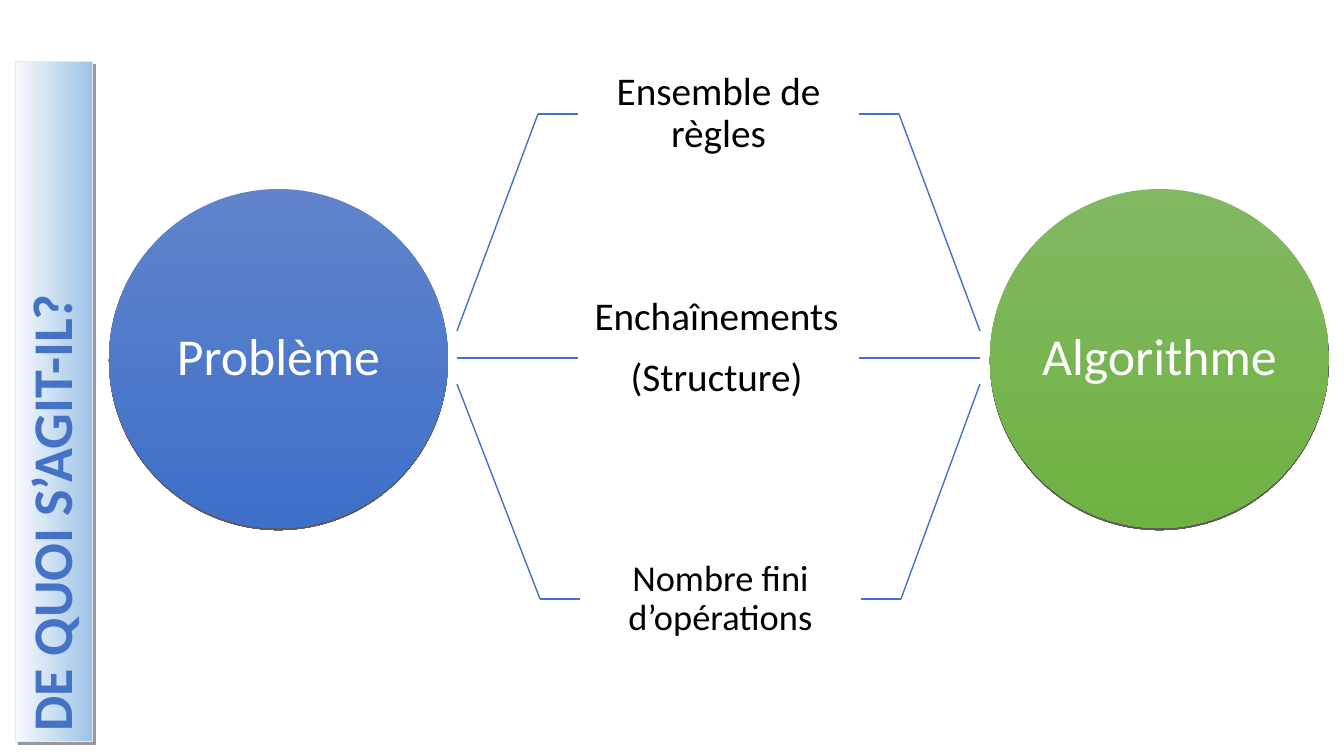
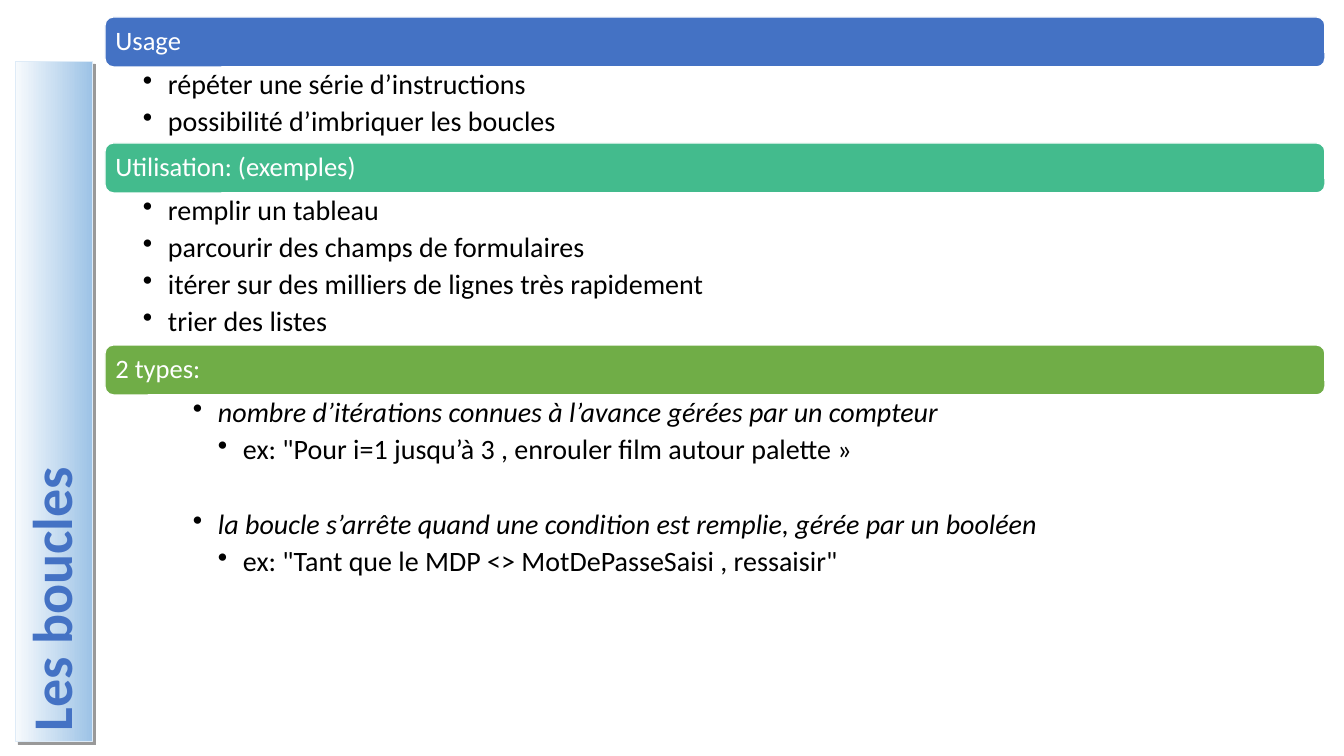
"""Build two French teaching slides on algorithms and loops."""
from dataclasses import dataclass

from lxml import etree
from pptx import Presentation
from pptx.dml.color import RGBColor
from pptx.enum import shapes, text
from pptx.oxml import ns
from pptx.util import Emu, Pt

FONT = "Calibri"
BLACK = RGBColor(0x00, 0x00, 0x00)
WHITE = RGBColor(0xFF, 0xFF, 0xFF)
BLUE = RGBColor(0x44, 0x72, 0xC4)
TEAL = RGBColor(0x43, 0xBB, 0x8D)
GREEN = RGBColor(0x70, 0xAD, 0x47)
BAND_EDGE = RGBColor(0xDE, 0xEB, 0xF7)
BAND_FADE = (RGBColor(0xF7, 0xFA, 0xFD), RGBColor(0x9D, 0xC3, 0xE6))
BLUE_FADE = (RGBColor(0x60, 0x83, 0xCB), RGBColor(0x3E, 0x70, 0xCA))
GREEN_FADE = (RGBColor(0x81, 0xB8, 0x61), RGBColor(0x6F, 0xB2, 0x42))

PX_PER_INCH = 100.8
MIRROR = 1437
HUB_X, ELBOW_X, LABEL_X = 457, 538, 578
HUB_TOP, HUB_SIZE = 189, 339
BAR_LEFT, BAR_TOP, BAR_WIDTH, BAR_HEIGHT = 105, 17, 1220, 50
INDENT = 25


@dataclass(frozen=True)
class Style:
    """Look of a block of text."""
    size: int
    color: RGBColor
    align: text.PP_ALIGN = text.PP_ALIGN.LEFT
    after: int = 0
    bold: bool = False
    anchor: text.MSO_ANCHOR = text.MSO_ANCHOR.MIDDLE


@dataclass(frozen=True)
class Line:
    """One paragraph; a level above zero gives it a bullet."""
    words: str
    level: int = 0
    italic: bool = False
    after: int | None = None


@dataclass(frozen=True)
class Hub:
    """A large circle at one end of the diagram."""
    word: str
    left: int
    fade: tuple[RGBColor, RGBColor]


@dataclass(frozen=True)
class Branch:
    """A label joined to both hubs."""
    lines: list[Line]
    size: int
    after: int
    hub_y: int
    y: int
    top: int
    height: int
    insets: tuple[int, int, int, int]
    shift: int = 0


@dataclass(frozen=True)
class Section:
    """A coloured bar and the list under it."""
    heading: str
    color: RGBColor
    height: int
    items: list[Line]


TITLE = Style(40, BLUE, bold=True)
HUB = Style(37, WHITE, text.PP_ALIGN.CENTER, 16)
HEADING = Style(19, WHITE, after=8)
ITEM = Style(20, BLACK, after=5, anchor=text.MSO_ANCHOR.TOP)

HUBS = [Hub("Problème", 109, BLUE_FADE), Hub("Algorithme", 990, GREEN_FADE)]
BRANCHES = [
    Branch([Line("Ensemble de règles")], 28, 15, 331, 114, 30, 168, (28, 28, 28, 28)),
    Branch([Line("Enchaînements"), Line("(Structure)")], 28, 13, 358, 358, 199, 318,
           (0, 4, 4, 23)),
    Branch([Line("Nombre fini d’opérations")], 26, 13, 384, 599, 515, 168,
           (25, 25, 25, 25), 2),
]
SECTIONS = [
    Section("Usage", BLUE, 76, [
        Line("répéter une série d’instructions", 1),
        Line("possibilité d’imbriquer les boucles", 1),
    ]),
    Section("Utilisation: (exemples)", TEAL, 152, [
        Line("remplir un tableau", 1),
        Line("parcourir des champs de formulaires", 1),
        Line("itérer sur des milliers de lignes très rapidement", 1),
        Line("trier des listes", 1),
    ]),
    Section("2 types:", GREEN, 303, [
        Line("nombre d’itérations connues à l’avance gérées par un compteur", 3, True),
        Line("ex: \"Pour i=1 jusqu’à 3 , enrouler film autour palette\u00a0»", 4, after=32),
        Line("la boucle s’arrête quand une condition est remplie, gérée par un booléen",
             3, True),
        Line("ex: \"Tant que le MDP <> MotDePasseSaisi , ressaisir\"", 4),
    ]),
]


def px(n: float) -> Emu:
    """Turn pixels into EMU."""
    return Emu(round(n * 914400 / PX_PER_INCH))


def box(*lengths: int) -> list[Emu]:
    """Turn several pixel lengths into EMU."""
    return [px(n) for n in lengths]


def write(tf, lines: list[Line], style: Style, insets: tuple[int, int, int, int],
          wrap: bool = True) -> None:
    """Fill a text frame with styled paragraphs."""
    tf.word_wrap = wrap
    tf.auto_size = text.MSO_AUTO_SIZE.NONE
    tf.vertical_anchor = style.anchor
    tf.margin_left, tf.margin_top, tf.margin_right, tf.margin_bottom = box(*insets)
    for i, line in enumerate(lines):
        p = tf.add_paragraph() if i else tf.paragraphs[0]
        p.alignment = style.align
        p.line_spacing = 0.9
        p.space_before = Pt(0)
        p.space_after = Pt(style.after if line.after is None else line.after)
        if line.level:
            p.level = line.level
            pPr = p._p.get_or_add_pPr()
            pPr.set("marL", str(px(line.level * INDENT)))
            pPr.set("indent", str(px(-INDENT)))
            etree.SubElement(pPr, ns.qn("a:buChar")).set("char", "•")
        r = p.add_run()
        r.text = line.words
        r.font.name = FONT
        r.font.size = Pt(style.size)
        r.font.color.rgb = style.color
        r.font.bold = style.bold
        r.font.italic = line.italic


def fade(sp, colors: tuple[RGBColor, RGBColor]) -> None:
    """Fill a shape with a gradient from its top to its bottom."""
    sp.fill.gradient()
    sp.fill.gradient_angle = 270
    for stop, color in zip(sp.fill.gradient_stops, colors):
        stop.color.rgb = color


def cast_shadow(sp, distance: float, angle: int, opacity: int) -> None:
    """Give a shape a hard black shadow."""
    sp.shadow.inherit = False
    effects = sp._element.spPr.find(ns.qn("a:effectLst"))
    shadow = etree.SubElement(effects, ns.qn("a:outerShdw"), dist=str(Pt(distance)),
                              dir=str(angle * 60000), algn="ctr", rotWithShape="0")
    color = etree.SubElement(shadow, ns.qn("a:srgbClr"), val=str(BLACK))
    etree.SubElement(color, ns.qn("a:alpha"), val=str(opacity * 1000))


def add_titled_slide(prs, title: str):
    """Add a slide with the upright title band."""
    s = prs.slides.add_slide(prs.slide_layouts[5])
    sp = s.shapes.title
    sp.left, sp.top, sp.width, sp.height = box(-286, 363, 680, 77)
    sp.rotation = 270
    fade(sp, BAND_FADE)
    sp.line.color.rgb = BAND_EDGE
    sp.line.width = Pt(0.75)
    cast_shadow(sp, 3, 45, 40)
    write(sp.text_frame, [Line(title)], TITLE, (10, 5, 10, 5))
    return s


def add_line(s, x1: int, y1: int, x2: int, y2: int) -> None:
    """Draw a thin blue line."""
    c = s.shapes.add_connector(shapes.MSO_CONNECTOR.STRAIGHT, *box(x1, y1, x2, y2))
    c.line.color.rgb = BLUE
    c.line.width = Pt(1)
    etree.SubElement(c._element.spPr, ns.qn("a:effectLst"))


def add_hub(s, hub: Hub) -> None:
    """Draw a shaded circle with its word."""
    sp = s.shapes.add_shape(shapes.MSO_SHAPE.OVAL,
                            *box(hub.left, HUB_TOP, HUB_SIZE, HUB_SIZE))
    fade(sp, hub.fade)
    sp.line.fill.background()
    cast_shadow(sp, 1.5, 90, 63)
    write(sp.text_frame, [Line(hub.word)], HUB, (0, 0, 0, 0), wrap=False)


def add_branch(s, branch: Branch) -> None:
    """Draw a label with its lines to the left and right hubs."""
    xs = (HUB_X, ELBOW_X + branch.shift, LABEL_X + branch.shift)
    mirrored = (MIRROR - HUB_X, MIRROR - ELBOW_X + branch.shift,
                MIRROR - LABEL_X + branch.shift)
    for hub_x, elbow_x, label_x in (xs, mirrored):
        add_line(s, hub_x, branch.hub_y, elbow_x, branch.y)
        add_line(s, elbow_x, branch.y, label_x, branch.y)
    label = s.shapes.add_textbox(*box(xs[2], branch.top, MIRROR - 2 * LABEL_X,
                                      branch.height))
    style = Style(branch.size, BLACK, text.PP_ALIGN.CENTER, branch.after)
    write(label.text_frame, branch.lines, style, branch.insets)


def add_section(s, section: Section, top: int) -> int:
    """Draw a bar and its list, and return the top of the next bar."""
    bar = s.shapes.add_shape(shapes.MSO_SHAPE.ROUNDED_RECTANGLE,
                             *box(BAR_LEFT, top, BAR_WIDTH, BAR_HEIGHT))
    bar.shadow.inherit = False
    bar.fill.solid()
    bar.fill.fore_color.rgb = section.color
    bar.line.color.rgb = WHITE
    bar.line.width = Pt(1)
    write(bar.text_frame, [Line(section.heading)], HEADING, (8, 8, 8, 8))
    top += BAR_HEIGHT
    items = s.shapes.add_textbox(*box(BAR_LEFT, top, BAR_WIDTH, section.height))
    write(items.text_frame, section.items, ITEM, (38, 3, 16, 3))
    return top + section.height


def main() -> None:
    """Build and save the slides."""
    prs = Presentation()
    prs.slide_width, prs.slide_height = box(1344, 756)

    s = add_titled_slide(prs, "DE QUOI S’AGIT-IL?")
    for hub in HUBS:
        add_hub(s, hub)
    for branch in BRANCHES:
        add_branch(s, branch)

    s = add_titled_slide(prs, "Les boucles")
    top = BAR_TOP
    for section in SECTIONS:
        top = add_section(s, section, top)

    prs.save("out.pptx")


main()
